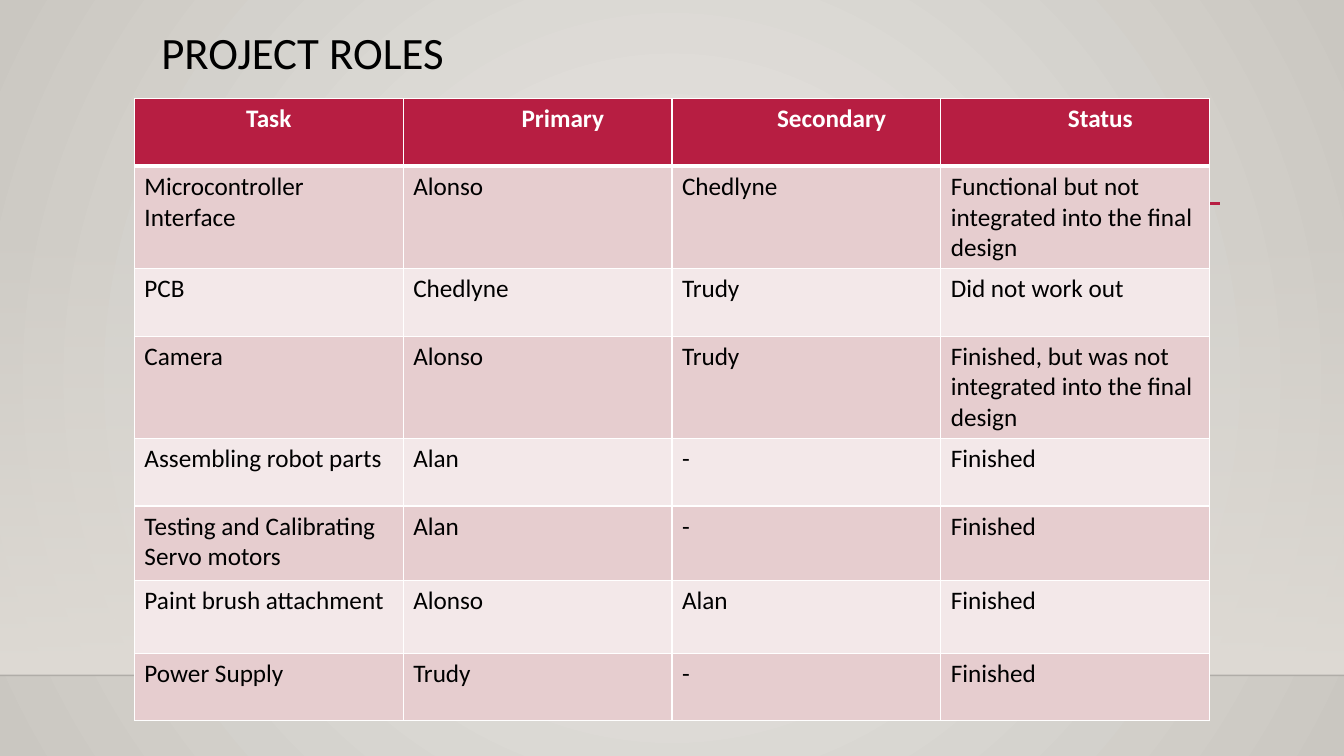
from dataclasses import dataclass

from lxml import etree
from pptx import Presentation
from pptx.dml.color import RGBColor
from pptx.enum.shapes import MSO_CONNECTOR, MSO_SHAPE
from pptx.enum.text import MSO_ANCHOR, PP_ALIGN
from pptx.oxml import parse_xml
from pptx.oxml.ns import nsdecls, qn
from pptx.util import Inches, Pt

STRAIGHT = MSO_CONNECTOR.STRAIGHT
RECTANGLE = MSO_SHAPE.RECTANGLE
LEFT, CENTER = PP_ALIGN.LEFT, PP_ALIGN.CENTER
TOP = MSO_ANCHOR.TOP

CRIMSON = RGBColor(0xB7, 0x1E, 0x42)
ROSE = RGBColor(0xE6, 0xCD, 0xCF)
PALE_ROSE = RGBColor(0xF3, 0xE8, 0xE9)
WHITE = RGBColor(0xFF, 0xFF, 0xFF)
BLACK = RGBColor(0x00, 0x00, 0x00)
WALL_LIGHT = RGBColor(0xEC, 0xEA, 0xE7)
WALL_DARK = RGBColor(0xCA, 0xC7, 0xC1)
SAND = RGBColor(0xDF, 0xDB, 0xD5)

FONT = "Calibri"
WIDTH, HEIGHT = Inches(13.33), Inches(7.5)
FLOOR_TOP = Inches(6.7)
COLUMN_WIDTH = int(WIDTH * 0.2)
TABLE_LEFT, TABLE_TOP = int(WIDTH * 0.1), Inches(0.98)
HEADER_HEIGHT = 0.67
HEADER_RULE, CELL_RULE = 3, 1

RADIAL = ('<a:path path="circle"><a:fillToRect l="50000" t="50000" '
          'r="50000" b="50000"/></a:path>')
DOWNWARD = '<a:lin ang="5400000" scaled="0"/>'


@dataclass(frozen=True)
class Role:
    task: str
    primary: str
    secondary: str
    status: str
    height: float = 0.67


@dataclass(frozen=True)
class Rule:
    left: int
    right: int
    y: int
    color: RGBColor
    weight: float
    opacity: int = 100


HEADINGS = ("Task", "Primary", "Secondary", "Status")
ROLES = (
    Role("Microcontroller Interface", "Alonso", "Chedlyne",
         "Functional but not integrated into the final design", 0.74),
    Role("PCB", "Chedlyne", "Trudy", "Did not work out"),
    Role("Camera", "Alonso", "Trudy",
         "Finished, but was not integrated into the final design"),
    Role("Assembling robot parts", "Alan", "-", "Finished"),
    Role("Testing and Calibrating Servo motors", "Alan", "-", "Finished", 0.74),
    Role("Paint brush attachment", "Alonso", "Alan", "Finished", 0.72),
    Role("Power Supply", "Trudy", "-", "Finished"),
)
RULES = (
    Rule(0, WIDTH, FLOOR_TOP, BLACK, 1, 20),
    Rule(Inches(1.59), Inches(12.1), Inches(2.02), CRIMSON, 2.5),
)


def format_font(font, size: float, color: RGBColor, bold: bool = False) -> None:
    for name, value in {"name": FONT, "size": Pt(size), "bold": bold}.items():
        setattr(font, name, value)
    font.color.rgb = color


def set_gradient(fill, holder, start: RGBColor, end: RGBColor,
                 direction: str, start_opacity: int = 100) -> None:
    """Fill the holder element with a two-stop gradient."""
    fill.solid()
    gradient = parse_xml(
        f'<a:gradFill {nsdecls("a")} rotWithShape="1"><a:gsLst>'
        f'<a:gs pos="0"><a:srgbClr val="{start}">'
        f'<a:alpha val="{start_opacity * 1000}"/></a:srgbClr></a:gs>'
        f'<a:gs pos="100000"><a:srgbClr val="{end}"/></a:gs>'
        f'</a:gsLst>{direction}</a:gradFill>')
    holder.replace(holder.find(qn("a:solidFill")), gradient)


def draw_backdrop(slide) -> None:
    background_fill = slide.background.fill
    background_fill.solid()
    set_gradient(background_fill, slide.element.find(".//" + qn("p:bgPr")),
                 WALL_LIGHT, WALL_DARK, RADIAL)
    wall_top = Inches(2.21)
    wall = slide.shapes.add_shape(RECTANGLE, 0, wall_top, WIDTH, FLOOR_TOP - wall_top)
    wall.shadow.inherit = False
    wall.line.fill.background()
    set_gradient(wall.fill, wall.element.spPr, SAND, SAND, DOWNWARD, 0)


def draw_rule(slide, rule: Rule) -> None:
    connector = slide.shapes.add_connector(STRAIGHT, rule.left, rule.y, rule.right, rule.y)
    connector.line.color.rgb = rule.color
    connector.line.width = Pt(rule.weight)
    properties = connector.element.spPr
    if rule.opacity < 100:
        color = properties.find(".//" + qn("a:srgbClr"))
        etree.SubElement(color, qn("a:alpha"), val=str(rule.opacity * 1000))
    etree.SubElement(properties, qn("a:effectLst"))


def write_title(slide) -> None:
    title = slide.shapes.title
    place = {"left": Inches(1.5), "top": Inches(0.26),
             "width": Inches(10.5), "height": Inches(1.15)}
    for name, value in place.items():
        setattr(title, name, value)
    frame = title.text_frame
    frame.text = "PROJECT ROLES"
    frame.vertical_anchor = TOP
    heading = frame.paragraphs[0]
    heading.alignment = LEFT
    heading.line_spacing = 0.9
    format_font(heading.runs[0].font, 32, BLACK)


def set_borders(cell, top: float, bottom: float) -> None:
    weights = {"lnL": CELL_RULE, "lnR": CELL_RULE, "lnT": top, "lnB": bottom}
    for position, (side, weight) in enumerate(weights.items()):
        border = parse_xml(
            f'<a:{side} {nsdecls("a")} w="{Pt(weight)}"><a:solidFill>'
            f'<a:srgbClr val="{WHITE}"/></a:solidFill></a:{side}>')
        cell._tc.get_or_add_tcPr().insert(position, border)


def write_cell(cell, text: str, row: int, column: int) -> None:
    is_header = row == 0
    cell.text = text
    cell.fill.solid()
    cell.fill.fore_color.rgb = CRIMSON if is_header else (PALE_ROSE, ROSE)[row % 2]
    set_borders(cell, HEADER_RULE if row == 1 else CELL_RULE,
                HEADER_RULE if is_header else CELL_RULE)
    paragraph = cell.text_frame.paragraphs[0]
    paragraph.alignment = CENTER if is_header else LEFT
    if is_header and column > 0:
        paragraph.level = 1
        paragraph._p.get_or_add_pPr().set("marL", str(Inches(0.5)))
    format_font(paragraph.runs[0].font, 18, WHITE if is_header else BLACK, is_header)


def draw_roles_table(slide) -> None:
    heights = [HEADER_HEIGHT] + [role.height for role in ROLES]
    lines = [HEADINGS] + [(role.task, role.primary, role.secondary, role.status)
                          for role in ROLES]
    table = slide.shapes.add_table(
        len(lines), len(HEADINGS), TABLE_LEFT, TABLE_TOP,
        COLUMN_WIDTH * len(HEADINGS), Inches(sum(heights))).table
    for column in table.columns:
        column.width = COLUMN_WIDTH
    for row, (height, line) in enumerate(zip(heights, lines)):
        table.rows[row].height = Inches(height)
        for column, text in enumerate(line):
            write_cell(table.cell(row, column), text, row, column)


def main() -> None:
    deck = Presentation()
    deck.slide_width, deck.slide_height = WIDTH, HEIGHT
    slide = deck.slides.add_slide(deck.slide_layouts[5])
    draw_backdrop(slide)
    for rule in RULES:
        draw_rule(slide, rule)
    write_title(slide)
    draw_roles_table(slide)
    deck.save("out.pptx")


if __name__ == "__main__":
    main()
